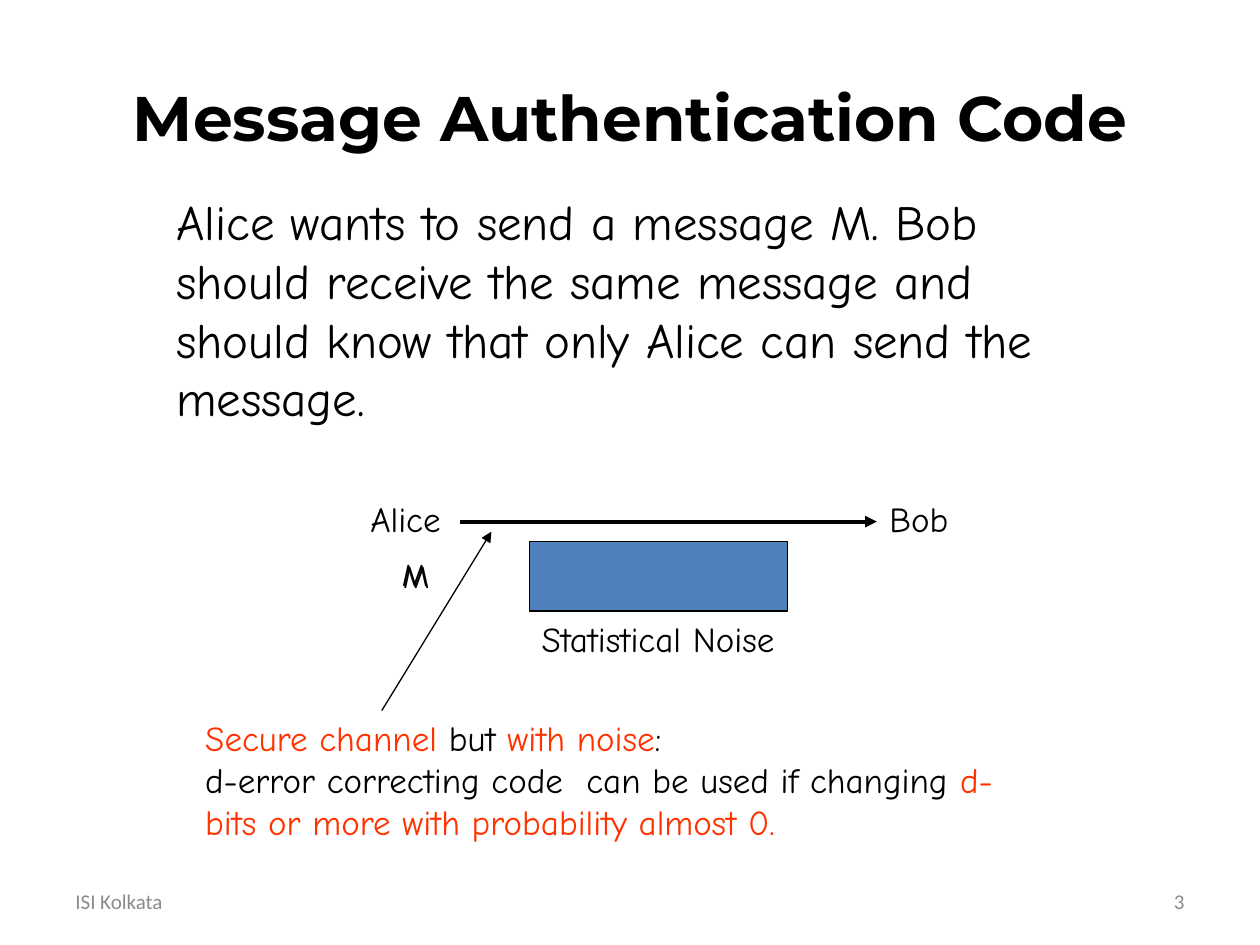
from lxml import etree
from pptx import Presentation
from pptx.dml.color import RGBColor
from pptx.enum.shapes import MSO_CONNECTOR, MSO_SHAPE
from pptx.enum.text import MSO_ANCHOR, MSO_AUTO_SIZE, PP_ALIGN
from pptx.oxml.ns import qn
from pptx.util import Pt

PX = 9144
BLACK = RGBColor(0x00, 0x00, 0x00)
GRAY = RGBColor(0x8C, 0x8C, 0x8C)
RED = RGBColor(0xFF, 0x33, 0x00)
BLUE = RGBColor(0x4F, 0x81, 0xBD)
LEFT, CENTER, RIGHT = PP_ALIGN.LEFT, PP_ALIGN.CENTER, PP_ALIGN.RIGHT
TOP, MIDDLE = MSO_ANCHOR.TOP, MSO_ANCHOR.MIDDLE
FIT, FIXED = MSO_AUTO_SIZE.SHAPE_TO_FIT_TEXT, MSO_AUTO_SIZE.NONE
STRAIGHT, RECT = MSO_CONNECTOR.STRAIGHT, MSO_SHAPE.RECTANGLE
HAND, SANS, HEAD = "Comic Neue", "Calibri", "Montserrat"


def px(*values):
    return [v * PX for v in values]


def write(tf, paragraphs, size, font, align=LEFT, bold=False):
    for i, runs in enumerate(paragraphs):
        p = tf.paragraphs[0] if i == 0 else tf.add_paragraph()
        p.alignment = align
        for text, color in runs:
            r = p.add_run()
            r.text = text
            r.font.size = Pt(size)
            r.font.name = font
            r.font.bold = bold
            r.font.color.rgb = color


def add_title(s, text, box):
    sp = s.shapes.title
    sp.left, sp.top, sp.width, sp.height = px(*box)
    tf = sp.text_frame
    tf.auto_size = FIXED
    tf.vertical_anchor = MIDDLE
    write(tf, [[(text, BLACK)]], 36, HEAD, CENTER, True)


def add_text(s, paragraphs, box, size, wrap=True):
    tf = s.shapes.add_textbox(*px(*box)).text_frame
    tf.word_wrap = wrap
    tf.auto_size = FIT
    tf.vertical_anchor = TOP
    write(tf, paragraphs, size, HAND)


def add_label(s, text, box, size=20):
    add_text(s, [[(text, BLACK)]], box, size, wrap=False)


def add_footer(s, text, left, align):
    tf = s.shapes.add_textbox(*px(left, 695, 233, 40)).text_frame
    tf.word_wrap = True
    tf.vertical_anchor = MIDDLE
    write(tf, [[(text, GRAY)]], 12, SANS, align)


def add_arrow(s, ends, width):
    c = s.shapes.add_connector(STRAIGHT, *px(*ends))
    c.line.color.rgb = BLACK
    c.line.width = Pt(width)
    etree.SubElement(c.line._get_or_add_ln(), qn("a:tailEnd"), type="triangle")
    etree.SubElement(c._element.spPr, qn("a:effectLst"))


def add_box(s, box):
    sp = s.shapes.add_shape(RECT, *px(*box))
    sp.shadow.inherit = False
    sp.fill.solid()
    sp.fill.fore_color.rgb = BLUE
    sp.line.color.rgb = BLACK
    sp.line.width = Pt(0.75)


def main():
    prs = Presentation()
    prs.slide_width, prs.slide_height = px(1000, 750)
    s = prs.slides.add_slide(prs.slide_layouts[5])

    add_footer(s, "ISI Kolkata", 50, LEFT)
    add_footer(s, "3", 717, RIGHT)
    add_title(s, "Message Authentication Code", (50, 30, 900, 125))
    goal = [
        "Alice wants to send a message M. Bob",
        "should receive the same message and",
        "should know that only Alice can send the message.",
    ]
    add_text(s, [[(line, BLACK)] for line in goal], (130, 147, 764, 197), 28)

    add_arrow(s, (365, 414, 696, 414), 2.25)
    add_label(s, "Alice", (284, 390, 85, 43))
    add_label(s, "Bob", (696, 390, 69, 43))
    add_label(s, "Statistical Noise", (420, 485, 240, 43))
    add_box(s, (420, 430, 205, 55))
    add_arrow(s, (303, 564, 390, 422), 0.75)
    for left, top in ((310, 437), (309, 436)):
        add_label(s, "M", (left, top, 42, 40), 18)

    channel = [
        [("Secure channel", RED), (" but ", BLACK), ("with noise", RED), (":", BLACK)],
        [("d-error correcting code  can be used if changing ", BLACK),
         ("d-bits or more with probability almost 0.", RED)],
    ]
    add_text(s, channel, (153, 564, 672, 111), 20)

    prs.save("out.pptx")


if __name__ == "__main__":
    main()
